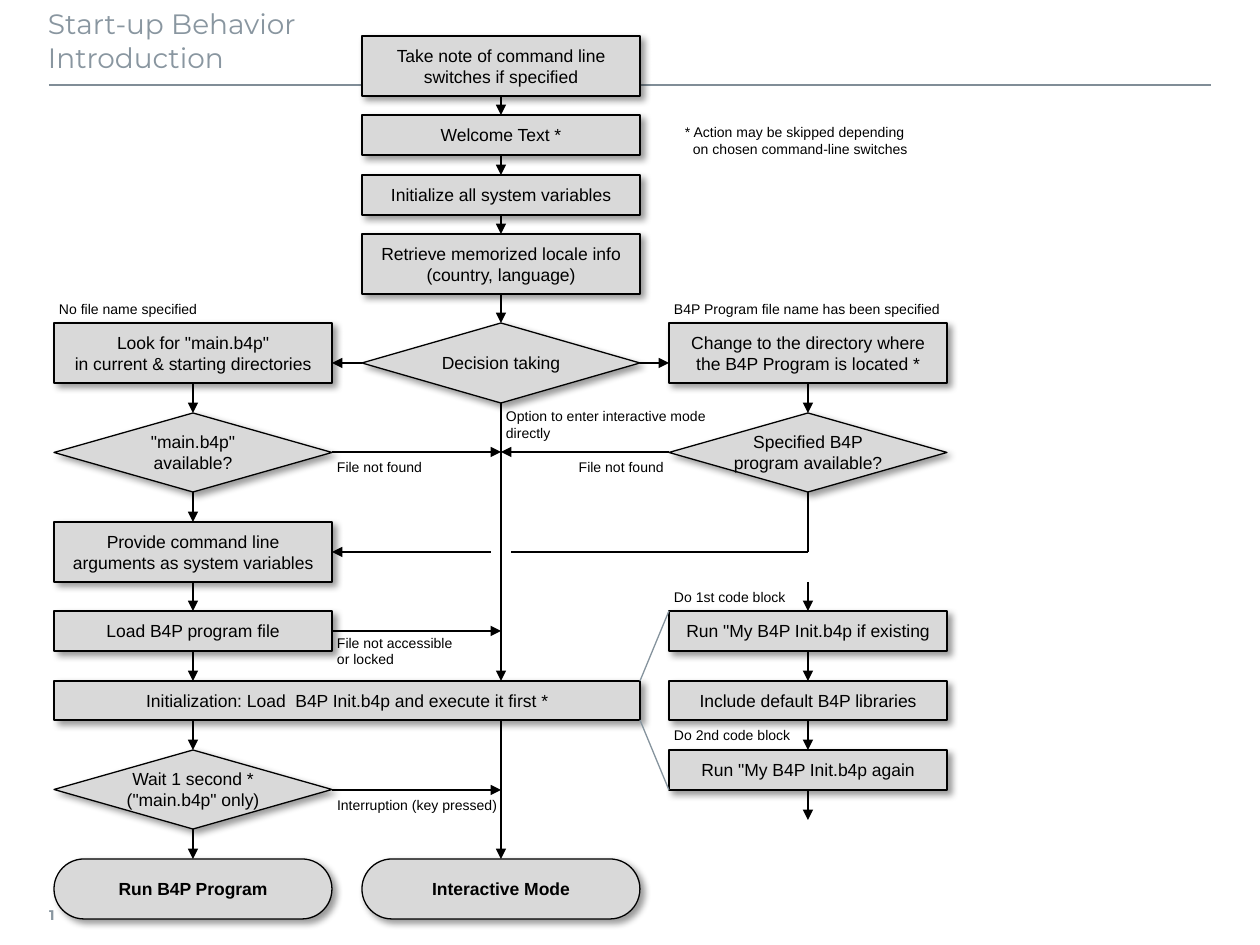
"""Build the start-up behavior flowchart slide."""
from lxml.etree import SubElement
from pptx import Presentation
from pptx.dml.color import RGBColor
from pptx.enum.shapes import MSO_CONNECTOR, MSO_SHAPE as SHAPE
from pptx.enum.text import MSO_ANCHOR as ANCHOR, PP_ALIGN as ALIGN
from pptx.oxml.ns import qn
from pptx.util import Inches, Pt

PX = 7257
BLACK, GRAY, SLATE = "000000", "D9D9D9", "8996A0"
BOX, DIAMOND, PILL = SHAPE.RECTANGLE, SHAPE.FLOWCHART_DECISION, SHAPE.ROUNDED_RECTANGLE
LEFT, CENTER, RIGHT, WIDTH = 54, 362, 669, 278
AXIS_LEFT, AXIS_CENTER, AXIS_RIGHT = (x + WIDTH // 2 for x in (LEFT, CENTER, RIGHT))
LEFT_END, CENTER_END = LEFT + WIDTH, CENTER + WIDTH

deck = Presentation()
deck.slide_width, deck.slide_height = Inches(10), Inches(7.5)
slide = deck.slides.add_slide(deck.slide_layouts[6])
shapes = slide.shapes


def write(holder, text, size=8, font="Arial", color=BLACK, bold=False, align=ALIGN.LEFT,
          anchor=ANCHOR.MIDDLE, insets=(5, 5, 5, 5), wrap=True, hanging=0):
    frame = holder.text_frame
    frame.word_wrap, frame.vertical_anchor = wrap, anchor
    frame.margin_left, frame.margin_top, frame.margin_right, frame.margin_bottom = (
        inset * PX for inset in insets)
    frame.text = text
    for paragraph in frame.paragraphs:
        paragraph.alignment = align
        if hanging:
            properties = paragraph._p.get_or_add_pPr()
            properties.set("marL", str(hanging * PX))
            properties.set("indent", str(-hanging * PX))
        for run in paragraph.runs:
            run.font.size, run.font.name, run.font.bold = Pt(size), font, bold
            run.font.color.rgb = RGBColor.from_string(color)


def draw_line(x1, y1, x2, y2, color=BLACK, width=0.75, arrow=True):
    connector = shapes.add_connector(
        MSO_CONNECTOR.STRAIGHT, x1 * PX, y1 * PX, x2 * PX, y2 * PX)
    connector.line.color.rgb = RGBColor.from_string(color)
    connector.line.width = Pt(width)
    if arrow:
        SubElement(connector.line._get_or_add_ln(), qn("a:tailEnd"), type="triangle")
    SubElement(connector._element.spPr, qn("a:effectLst"))


draw_line(49, 85, 1211, 85, color="808D97", width=1, arrow=False)
page_number = shapes.add_textbox(49 * PX, 890 * PX, 44 * PX, 49 * PX)
write(page_number, "1", font="Montserrat", color=SLATE, bold=True, insets=(0, 6, 10, 6))
title = shapes.add_textbox(48 * PX, 1 * PX, 1160 * PX, 79 * PX)
write(title, "Start-up Behavior\vIntroduction", size=16, font="Montserrat", color=SLATE,
      anchor=ANCHOR.TOP, insets=(0, 6, 13, 6))

flows = [
    (CENTER, [
        (BOX, 36, 60, WIDTH, "Take note of command line\nswitches if specified"),
        (BOX, 115, 40, WIDTH, "Welcome Text *"),
        (BOX, 175, 40, WIDTH, "Initialize all system variables"),
        (BOX, 234, 60, WIDTH, "Retrieve memorized locale info\n(country, language)"),
        (DIAMOND, 323, 80, WIDTH, "Decision taking"),
    ]),
    (LEFT, [
        (BOX, 323, 60, WIDTH, 'Look for "main.b4p"\nin current & starting directories'),
        (DIAMOND, 413, 79, WIDTH, '"main.b4p"\navailable?'),
        (BOX, 522, 60, WIDTH, "Provide command line\narguments as system variables"),
        (BOX, 611, 40, WIDTH, "Load B4P program file"),
        (BOX, 681, 39, CENTER_END - LEFT,
         "Initialization: Load  B4P Init.b4p and execute it first *"),
        (DIAMOND, 750, 79, WIDTH, 'Wait 1 second *\n("main.b4p" only)'),
        (PILL, 859, 60, WIDTH, "Run B4P Program"),
    ]),
    (CENTER, [(PILL, 859, 60, WIDTH, "Interactive Mode")]),
    (RIGHT, [
        (BOX, 323, 60, WIDTH, "Change to the directory where\nthe B4P Program is located *"),
        (DIAMOND, 413, 79, WIDTH, "Specified B4P\nprogram available?"),
    ]),
    (RIGHT, [
        (BOX, 611, 40, WIDTH, 'Run "My B4P Init.b4p if existing'),
        (BOX, 681, 39, WIDTH, "Include default B4P libraries"),
        (BOX, 750, 40, WIDTH, 'Run "My B4P Init.b4p again'),
    ]),
]
for left, steps in flows:
    for kind, top, height, width, label in steps:
        step = shapes.add_shape(kind, left * PX, top * PX, width * PX, height * PX)
        if kind == PILL:
            step.adjustments[0] = 0.5
        step.fill.solid()
        step.fill.fore_color.rgb = RGBColor.from_string(GRAY)
        step.line.color.rgb = RGBColor.from_string(BLACK)
        step.line.width = Pt(0.75)
        step.shadow.inherit = False
        shadow = SubElement(step._element.spPr.find(qn("a:effectLst")), qn("a:outerShdw"),
                            blurRad=str(Pt(4)), dist=str(Pt(3)), dir="2700000",
                            algn="tl", rotWithShape="0")
        shade = SubElement(shadow, qn("a:srgbClr"), val=BLACK)
        SubElement(shade, qn("a:alpha"), val="40000")
        write(step, label, size=10, bold=kind == PILL, align=ALIGN.CENTER, wrap=False)
    axis = left + WIDTH // 2
    for upper, lower in zip(steps, steps[1:]):
        draw_line(axis, upper[1] + upper[2], axis, lower[1])

for branch in [
    (CENTER, 363, LEFT_END, 363),
    (CENTER_END, 363, RIGHT, 363),
    (AXIS_CENTER, 403, AXIS_CENTER, 681),
    (AXIS_CENTER, 720, AXIS_CENTER, 859),
    (LEFT_END, 452, AXIS_CENTER, 452),
    (RIGHT, 452, AXIS_CENTER, 452),
    (AXIS_CENTER - 10, 552, LEFT_END, 552),
    (LEFT_END, 631, AXIS_CENTER, 631),
    (LEFT_END, 790, AXIS_CENTER, 790),
    (AXIS_RIGHT, 582, AXIS_RIGHT, 611),
    (AXIS_RIGHT, 790, AXIS_RIGHT, 820),
]:
    draw_line(*branch)
draw_line(AXIS_RIGHT, 492, AXIS_RIGHT, 552, arrow=False)
draw_line(AXIS_RIGHT, 552, AXIS_CENTER + 10, 552, arrow=False)
for inner, outer in [(681, 611), (720, 790)]:
    draw_line(CENTER_END, inner, RIGHT, outer, color="85939D", arrow=False)

for left, top, width, height, remark, layout in [
    (LEFT, 294, WIDTH, 30, "No file name specified", {}),
    (RIGHT, 294, 300, 30, "B4P Program file name has been specified", {}),
    (680, 116, 250, 49,
     "* Action may be skipped depending\von chosen command-line switches", {"hanging": 8}),
    (AXIS_CENTER, 393, 225, 63, "Option to enter interactive mode\ndirectly", {}),
    (541, 452, 128, 30, "File not found", {"align": ALIGN.RIGHT}),
    (LEFT_END, 452, 128, 30, "File not found", {}),
    (LEFT_END, 631, 150, 40, "File not accessible\nor locked", {}),
    (LEFT_END, 790, 185, 30, "Interruption (key pressed)", {}),
    (RIGHT, 582, 137, 30, "Do 1st code block", {}),
    (RIGHT, 720, 137, 30, "Do 2nd code block", {}),
]:
    note = shapes.add_textbox(left * PX, top * PX, width * PX, height * PX)
    write(note, remark, **layout)

deck.save("out.pptx")
